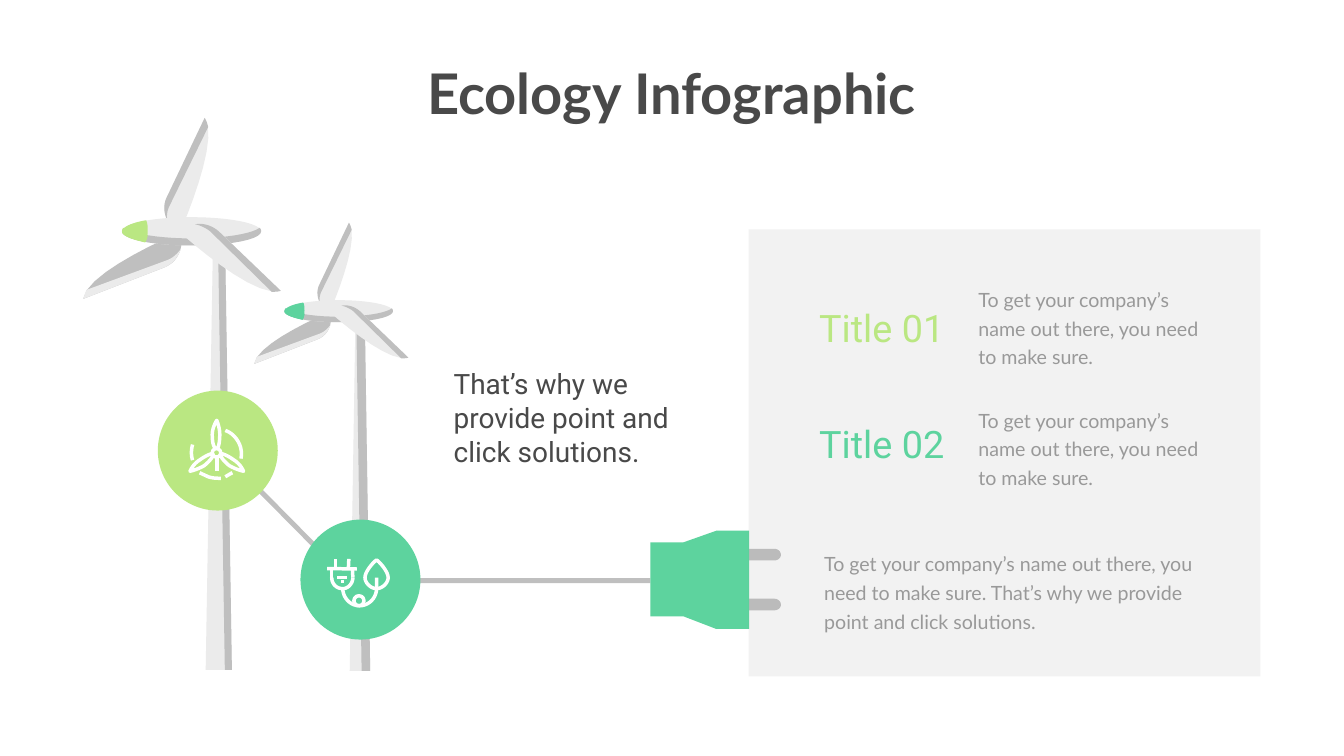
import pptx
import pptx.dml.color
import pptx.enum.shapes
import pptx.enum.text
import pptx.oxml
import pptx.oxml.ns
import pptx.util

LIME, GREEN, WHITE = "BAE782", "5DD39E", "FFFFFF"
DARK, TEXT_GREY, GREY = "494949", "999999", "808080"
LIGHT, SHADE, PRONG = "EBEBEB", "BFBFBF", "C2C2C2"

# An outline is a start point, then (x, y) lines and six-number Bezier curves.
# Turbine outlines are measured from the hub.
REAR_BLADES = [
    (LIGHT, [(0, 0), (-.27, -.12, -.39, -.46, -.25, -.72), (.49, -2.27),
             (.81, -1.83, 0, 0, 0, 0)]),
    (SHADE, [(.56, -2.09), (-.19, -.56), (-.25, -.45, -.27, -.35, -.25, -.23),
             (-.32, -.38, -.34, -.56, -.25, -.72), (.49, -2.27),
             (.53, -2.21, .54, -2.16, .56, -2.09)]),
    (SHADE, [(0, 0), (.1, .28, -.04, .6, -.32, .7), (-1.92, 1.32),
             (-1.85, .77, 0, 0, 0, 0)]),
    (LIGHT, [(-1.85, 1.14), (-.25, .55), (-.14, .51, -.05, .42, .02, .33),
             (-.04, .49, -.14, .63, -.32, .7), (-1.92, 1.32),
             (-1.9, 1.27, -1.88, 1.2, -1.85, 1.14)]),
]
UNDERSIDE = [(1.58, -.09), (1.42, .03, .87, .12, .22, .12),
             (-.41, .12, -.95, .03, -1.11, -.09),
             (-1.13, -.07, -1.15, -.05, -1.15, -.02),
             (-1.15, .14, -.53, .26, .22, .26), (1, .26, 1.61, .14, 1.61, -.02),
             (1.61, -.05, 1.6, -.07, 1.58, -.09)]
CAP = [(-1.15, -.01), (-1.15, .06, -.97, .14, -.69, .2),
       (-.65, .13, -.64, .04, -.64, -.03), (-.64, -.1, -.64, -.17, -.67, -.24),
       (-.97, -.19, -1.15, -.1, -1.15, -.01)]
CAP_UNDERSIDE = [(-1.13, -.09), (-1.02, -.04, -.87, .02, -.64, .05),
                 (-.65, .11, -.65, .14, -.69, .19),
                 (-.92, .14, -1.15, .07, -1.15, -.02)]
FRONT_BLADE = [
    (LIGHT, [(0, 0), (.21, -.21, .54, -.23, .77, -.02), (2, 1.16),
             (1.47, 1.34, 0, 0, 0, 0)]),
    (SHADE, [(1.82, 1.18), (.6, -.02), (.51, -.09, .4, -.14, .3, -.16),
             (.46, -.19, .63, -.14, .77, -.02), (2, 1.16),
             (1.95, 1.18, 1.88, 1.18, 1.82, 1.18)]),
]

PLUG_ICON = [
    [(7.47, 11.11), (7.41, 11.15, 7.24, 11.34, 7.24, 11.46),
     (7.24, 11.57, 7.36, 11.68, 7.47, 11.68),
     (7.58, 11.68, 7.7, 11.57, 7.7, 11.46),
     (7.7, 11.34, 7.53, 11.15, 7.47, 11.11)],
    [(7, 11.46), (7, 11.57, 6.91, 11.68, 6.8, 11.68),
     (6.66, 11.68, 6.58, 11.57, 6.58, 11.46)],
    [(6.8, 11.68), (6.8, 11.85, 6.94, 12.02, 7.13, 12.02),
     (7.33, 12.02, 7.47, 11.85, 7.47, 11.68), (7.47, 11.46)],
]
PLUG_ICON_LINES = [
    (6.99, 11.28, 7, 11.46), (6.58, 11.46, 6.58, 11.28),
    (6.49, 11.28, 7.08, 11.29), (6.66, 11.29, 6.66, 11.09),
    (6.91, 11.29, 6.92, 11.09), (6.69, 11.46, 6.88, 11.46),
    (6.77, 11.54, 6.82, 11.54),
]
ROTOR_X = 4.3
ROTOR_BLADE = [(4.38, 9.01), (4.38, 8.98, 4.52, 9.04, 4.63, 9.12),
               (4.78, 9.21, 4.83, 9.35, 4.83, 9.35),
               (4.83, 9.35, 4.69, 9.32, 4.55, 9.24),
               (4.44, 9.15, 4.35, 9.04, 4.38, 9.01)]
ROTOR_ICON = [
    [(4.3, 8.9), (4.24, 8.9, 4.21, 8.79, 4.21, 8.62),
     (4.21, 8.48, 4.3, 8.34, 4.3, 8.34), (4.3, 8.34, 4.36, 8.48, 4.36, 8.62),
     (4.36, 8.79, 4.33, 8.9, 4.3, 8.9)],
    ROTOR_BLADE,
    [tuple(2 * ROTOR_X - v if i % 2 == 0 else v for i, v in enumerate(step))
     for step in ROTOR_BLADE],
    [(3.82, 9.13), (3.79, 9.04, 3.79, 8.93, 3.82, 8.82)],
    [(4.38, 9.49), (4.3, 9.49, 4.22, 9.49, 4.13, 9.46),
     (4.07, 9.43, 4.02, 9.41, 3.96, 9.38)],
    [(4.61, 9.38), (4.55, 9.41, 4.52, 9.43, 4.47, 9.46)],
    [(4.47, 8.54), (4.69, 8.62, 4.83, 8.87, 4.78, 9.1)],
]


def grid(units):
    """Length of a number of 2.54 cm grid units."""
    return pptx.util.Cm(2.54 * units)


def paint(fill, color, alpha=100):
    fill.solid()
    fill.fore_color.rgb = pptx.dml.color.RGBColor.from_string(color)
    if alpha < 100:
        clr = fill._xPr.find(".//" + pptx.oxml.ns.qn("a:srgbClr"))
        clr.append(pptx.oxml.parse_xml(
            f'<a:alpha {pptx.oxml.ns.nsdecls("a")} val="{alpha * 1000}"/>'))


def flatten(outline, steps=10):
    """Turn an outline with curves into a list of points."""
    points = [outline[0]]
    for step in outline[1:]:
        if len(step) == 2:
            points.append(step)
            continue
        p0, p1, p2, p3 = points[-1], step[:2], step[2:4], step[4:]
        for t in (i / steps for i in range(1, steps + 1)):
            u = 1 - t
            points.append(tuple(
                u**3 * a + 3 * u * u * t * b + 3 * u * t * t * c + t**3 * d
                for a, b, c, d in zip(p0, p1, p2, p3)))
    return points


class Deck:
    def __init__(self, prs):
        self.s = prs.slides.add_slide(prs.slide_layouts[6])

    def finish(self, sp, fill, stroke, alpha=100):
        sp.shadow.inherit = False
        if fill:
            paint(sp.fill, fill, alpha)
        else:
            sp.fill.background()
        if stroke:
            paint(sp.line.fill, stroke)
            sp.line.width = pptx.util.Pt(5)
        else:
            sp.line.fill.background()

    def shape(self, kind, x, y, w, h, fill=None, stroke=None, alpha=100):
        sp = self.s.shapes.add_shape(kind, grid(x), grid(y), grid(w), grid(h))
        self.finish(sp, fill, stroke, alpha)

    def oval(self, *args, **style):
        self.shape(pptx.enum.shapes.MSO_SHAPE.OVAL, *args, **style)

    def outline(self, outline, fill=None, stroke=None, origin=(0, 0), scale=1):
        points = [(grid(origin[0] + x * scale), grid(origin[1] + y * scale))
                  for x, y in flatten(outline)]
        closed = bool(fill) or points[0] == points[-1]
        builder = self.s.shapes.build_freeform(*points[0])
        builder.add_line_segments(points[1:], close=closed)
        self.finish(builder.convert_to_shape(), fill, stroke)

    def line(self, x1, y1, x2, y2, color=WHITE, width=5, alpha=100):
        cxn = self.s.shapes.add_connector(
            pptx.enum.shapes.MSO_CONNECTOR.STRAIGHT,
            grid(x1), grid(y1), grid(x2), grid(y2))
        paint(cxn.line.fill, color, alpha)
        cxn.line.width = pptx.util.Pt(width)
        cxn._element.spPr.append(pptx.oxml.parse_xml(
            f'<a:effectLst {pptx.oxml.ns.nsdecls("a")}/>'))

    def text(self, x, y, w, h, words, size, font, color, spacing=None,
             bold=False, center=False):
        tf = self.s.shapes.add_textbox(grid(x), grid(y), grid(w), grid(h)).text_frame
        tf.text = words
        tf.word_wrap = not center
        tf.auto_size = pptx.enum.text.MSO_AUTO_SIZE.SHAPE_TO_FIT_TEXT
        p = tf.paragraphs[0]
        if spacing:
            p.line_spacing = pptx.util.Pt(spacing)
        if center:
            p.alignment = pptx.enum.text.PP_ALIGN.CENTER
        r = p.runs[0]
        r.font.name, r.font.size, r.font.bold = font, pptx.util.Pt(size), bold
        paint(r.font.fill, color)

    def body(self, x, y, w, words):
        self.text(x, y, w, 1.77, words, 28, "Lato", TEXT_GREY, spacing=40.8)

    def turbine(self, hub, scale, base, shade_width, cap_color):
        foot = (base - hub[1]) / scale
        shade = shade_width / scale
        tower = [
            (LIGHT, [(1.03, foot), (.51, foot), (.66, -.09), (.89, -.09)]),
            (SHADE, [(.89, -.09), (.89 - shade, -.09), (1.03 - shade, foot),
                     (1.03, foot)]),
        ]
        for color, part in REAR_BLADES + tower:
            self.outline(part, color, origin=hub, scale=scale)
        self.oval(hub[0] - 1.15 * scale, hub[1] - .3 * scale,
                  2.76 * scale, .56 * scale, fill=LIGHT)
        nacelle = [(SHADE, UNDERSIDE), (cap_color, CAP), (cap_color, CAP_UNDERSIDE)]
        for color, part in nacelle + FRONT_BLADE:
            self.outline(part, color, origin=hub, scale=scale)

    def icon(self, outlines, lines, hole):
        for part in outlines:
            self.outline(part, stroke=WHITE)
        for ends in lines:
            self.line(*ends)
        self.oval(*hole, stroke=WHITE)


def main():
    prs = pptx.Presentation()
    prs.slide_width, prs.slide_height = grid(26.66), grid(15)
    deck = Deck(prs)

    for cable in [(4.72, 9.29, 6.4, 10.99), (8.32, 11.52, 12.9, 11.52)]:
        deck.line(*cable, color=GREY, width=7, alpha=50)
    prong = [(14.81, 0), (15.36, 0), (15.43, 0, 15.49, .05, 15.49, .12),
             (15.49, .18, 15.43, .23, 15.36, .23), (14.81, .23)]
    for y in (11.88, 10.89):
        deck.outline(prong, PRONG, origin=(0, y))
    deck.outline([(12.9, 10.76), (12.9, 12.23), (13.56, 12.23), (14.21, 12.48),
                  (14.86, 12.48), (14.86, 10.53), (14.21, 10.53), (13.56, 10.76)],
                 GREEN)
    deck.shape(pptx.enum.shapes.MSO_SHAPE.RECTANGLE, 14.85, 4.55, 10.15, 8.87,
               fill=GREY, alpha=10)
    deck.text(8.9, 7.23, 4.72, 2.12, "That’s why we provide point and click solutions.",
              40, "Roboto", DARK)

    deck.turbine((3.57, 4.61), 1, 13.29, .14, LIME)
    deck.turbine((6.54, 6.19), .78, 13.31, .17, GREEN)
    for x, y, color in [(3.13, 7.75, LIME), (5.96, 10.31, GREEN)]:
        deck.oval(x, y, 2.38, 2.38, fill=color)

    pitch = "To get your company’s name out there, you need to make sure."
    for title, title_y, body_y, color in [("Title 01", 5.99, 5.57, LIME),
                                          ("Title 02", 8.3, 7.96, GREEN)]:
        deck.text(16.15, title_y, 2.98, 1.01, title, 54, "Roboto", color)
        deck.body(19.31, body_y, 4.56, pitch)
    deck.body(16.25, 10.81, 7.62,
              pitch + " That’s why we provide point and click solutions.")

    deck.icon(PLUG_ICON, PLUG_ICON_LINES, (7.02, 11.82, .2, .2))
    deck.icon(ROTOR_ICON, [(ROTOR_X, 9.35, ROTOR_X, 9.06)], (4.21, 8.9, .17, .17))
    deck.text(8.27, 1.12, 10.11, 1.45, "Ecology Infographic", 80, "Lato", DARK,
              bold=True, center=True)
    prs.save("out.pptx")


if __name__ == "__main__":
    main()
